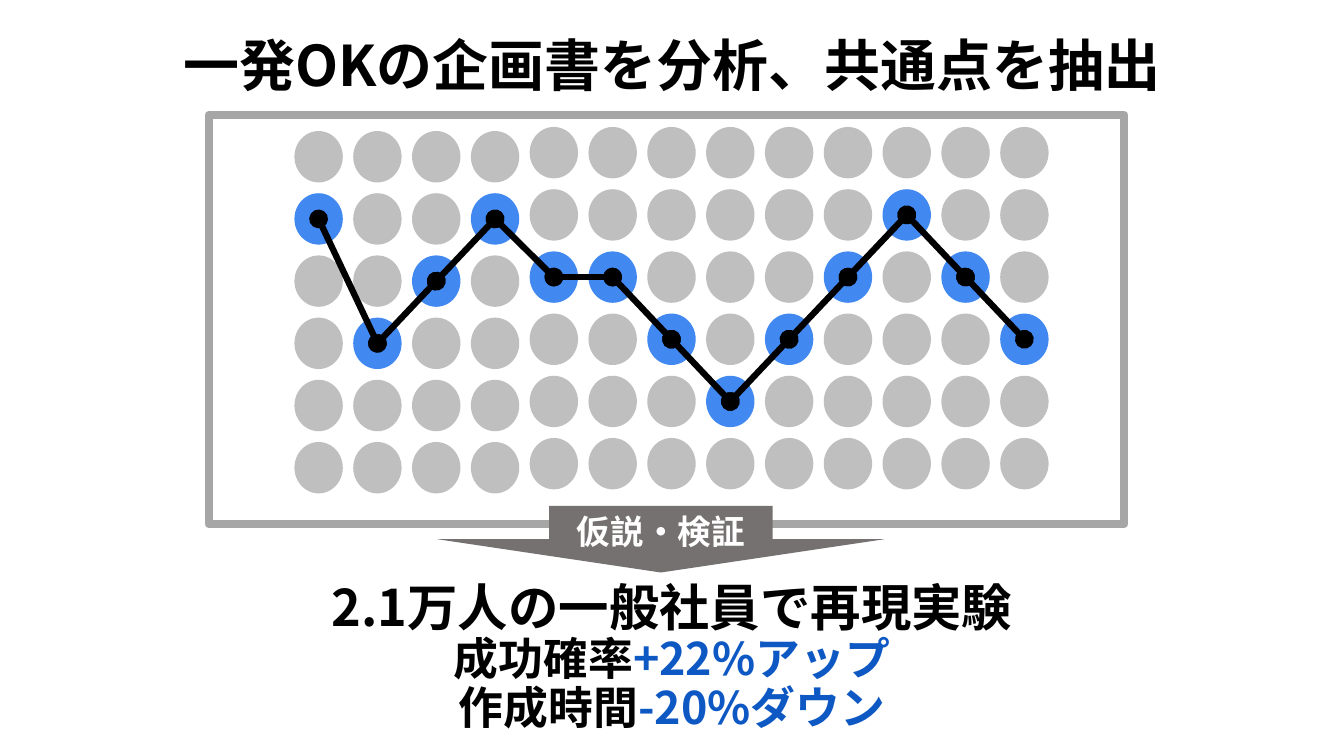
"""Build the slide on common points found in approved proposals."""
from dataclasses import dataclass

import pptx
import pptx.dml.color
import pptx.enum.shapes
import pptx.enum.text
import pptx.oxml
import pptx.oxml.ns
import pptx.shapes.autoshape
import pptx.slide
import pptx.text.text
import pptx.util
from pptx.dml.color import RGBColor
from pptx.enum.shapes import MSO_SHAPE
from pptx.util import Inches

BLACK = RGBColor(0x00, 0x00, 0x00)
WHITE = RGBColor(0xFF, 0xFF, 0xFF)
DOT_GRAY = RGBColor(0xBF, 0xBF, 0xBF)
DOT_BLUE = RGBColor(0x41, 0x88, 0xF1)
FRAME_GRAY = RGBColor(0xA6, 0xA6, 0xA6)
ARROW_GRAY = RGBColor(0x76, 0x71, 0x71)
RESULT_BLUE = RGBColor(0x0E, 0x58, 0xC4)
FONT_NAME = "Noto Sans CJK JP"

SLIDE_WIDTH, SLIDE_HEIGHT = 13.33, 7.5
DOT_WIDTH, DOT_HEIGHT = 0.48, 0.51
GRID_LEFT, COLUMN_PITCH = 2.92, 7 / 12
ROW_COUNT, ROW_PITCH = 6, 0.617
LOWERED_COLUMNS, LOWERED_TOP, GRID_TOP = 4, 1.3, 1.26
PATH_ROWS = (1, 3, 2, 1, 2, 2, 3, 4, 3, 2, 1, 2, 3)


@dataclass(frozen=True)
class Box:
    left: float
    top: float
    width: float
    height: float

    def lengths(self) -> tuple:
        return tuple(Inches(value) for value in (self.left, self.top, self.width, self.height))

    def center(self) -> tuple:
        return Inches(self.left + self.width / 2), Inches(self.top + self.height / 2)


@dataclass(frozen=True)
class TextLine:
    text: str
    size: int
    result: str = ""
    color: RGBColor = BLACK


TITLE = TextLine("一発OKの企画書を分析、共通点を抽出", 40)
ARROW_LABEL = TextLine("仮説・検証", 24, color=WHITE)
RESULTS = (
    TextLine("2.1万人の一般社員で再現実験", 36),
    TextLine("成功確率", 32, "+22%アップ"),
    TextLine("作成時間", 32, "-20%ダウン"),
)


def dot_box(column: int, row: int) -> Box:
    top = LOWERED_TOP if column < LOWERED_COLUMNS else GRID_TOP
    return Box(GRID_LEFT + column * COLUMN_PITCH, top + row * ROW_PITCH, DOT_WIDTH, DOT_HEIGHT)


def add_plain_shape(
    slide: pptx.slide.Slide, kind: MSO_SHAPE, box: Box, fill: RGBColor | None = None
) -> pptx.shapes.autoshape.Shape:
    shape = slide.shapes.add_shape(kind, *box.lengths())
    shape.shadow.inherit = False
    shape.line.fill.background()
    if fill is None:
        shape.fill.background()
    else:
        shape.fill.solid()
        shape.fill.fore_color.rgb = fill
    return shape


def add_path_line(slide: pptx.slide.Slide, start: Box, end: Box) -> None:
    connector = slide.shapes.add_connector(
        pptx.enum.shapes.MSO_CONNECTOR.STRAIGHT, *start.center(), *end.center()
    )
    connector.line.color.rgb = BLACK
    connector.line.width = pptx.util.Pt(4.5)
    line = connector.line._get_or_add_ln()
    for tag in ("a:headEnd", "a:tailEnd"):
        line.append(pptx.oxml.parse_xml(f'<{tag} {pptx.oxml.ns.nsdecls("a")} type="oval"/>'))
    connector._element.spPr.append(
        pptx.oxml.parse_xml(f'<a:effectLst {pptx.oxml.ns.nsdecls("a")}/>')
    )


def write_line(
    paragraph: pptx.text.text._Paragraph, line: TextLine, spacing: float | None = None
) -> None:
    paragraph.alignment = pptx.enum.text.PP_ALIGN.CENTER
    paragraph.line_spacing = spacing
    paragraph.font.name = FONT_NAME
    properties = paragraph._p.get_or_add_pPr().get_or_add_defRPr()
    properties.append(
        pptx.oxml.parse_xml(f'<a:ea {pptx.oxml.ns.nsdecls("a")} typeface="{FONT_NAME}"/>')
    )
    paragraph.font.size = pptx.util.Pt(line.size)
    paragraph.font.bold = True
    paragraph.font.color.rgb = line.color
    paragraph.add_run().text = line.text
    if line.result:
        run = paragraph.add_run()
        run.text = line.result
        run.font.color.rgb = RESULT_BLUE


def add_text(
    slide: pptx.slide.Slide,
    box: Box,
    lines: tuple[TextLine, ...],
    anchor: pptx.enum.text.MSO_ANCHOR,
) -> None:
    frame = slide.shapes.add_textbox(*box.lengths()).text_frame
    frame.word_wrap = True
    frame.vertical_anchor = anchor
    frame.margin_top = frame.margin_bottom = 0
    for index, line in enumerate(lines):
        paragraph = frame.add_paragraph() if index else frame.paragraphs[0]
        write_line(paragraph, line, 0.9)


def main() -> None:
    presentation = pptx.Presentation()
    presentation.slide_width = Inches(SLIDE_WIDTH)
    presentation.slide_height = Inches(SLIDE_HEIGHT)
    slide = presentation.slides.add_slide(presentation.slide_layouts[6])

    for column, path_row in enumerate(PATH_ROWS):
        for row in range(ROW_COUNT):
            color = DOT_BLUE if row == path_row else DOT_GRAY
            add_plain_shape(slide, MSO_SHAPE.OVAL, dot_box(column, row), color)

    stops = [dot_box(column, row) for column, row in enumerate(PATH_ROWS)]
    for start, end in zip(stops, stops[1:]):
        add_path_line(slide, start, end)

    anchors = pptx.enum.text.MSO_ANCHOR
    add_text(slide, Box(0, 0.1, SLIDE_WIDTH, 1.15), (TITLE,), anchors.MIDDLE)
    add_text(slide, Box(0, 5.78, SLIDE_WIDTH, 1.72), RESULTS, anchors.TOP)

    frame = add_plain_shape(slide, MSO_SHAPE.RECTANGLE, Box(2.07, 1.14, 9.08, 4.06))
    frame.line.color.rgb = FRAME_GRAY
    frame.line.width = pptx.util.Pt(6)

    arrow = add_plain_shape(slide, MSO_SHAPE.DOWN_ARROW, Box(4.34, 5.02, 4.43, 0.66), ARROW_GRAY)
    arrow.text_frame.vertical_anchor = anchors.MIDDLE
    write_line(arrow.text_frame.paragraphs[0], ARROW_LABEL)

    presentation.save("out.pptx")


if __name__ == "__main__":
    main()
